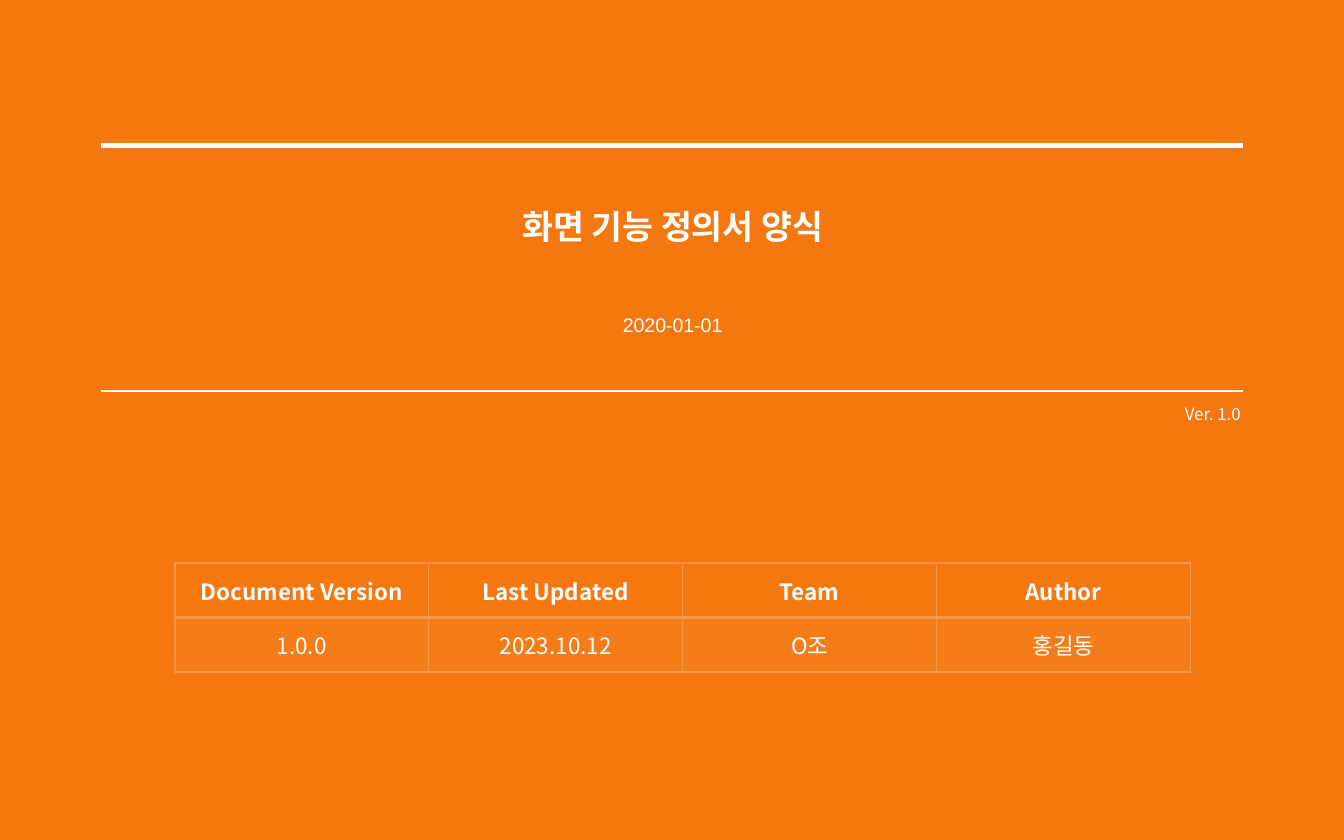
from dataclasses import dataclass

from lxml import etree
from pptx import Presentation
from pptx.dml.color import RGBColor
from pptx.enum import text
from pptx.oxml import ns
from pptx.util import Inches, Pt


@dataclass(frozen=True)
class Theme:
    background: str = "F47710"
    ink: str = "FFFFFF"
    accent: str = "F79646"
    tint: int = 20
    korean: str = "Noto Sans CJK KR"
    plain: str = "Arial"
    title: float = 18
    date: float = 10.5
    version: float = 9
    cell: float = 12


@dataclass(frozen=True)
class Style:
    size: float
    font: str
    bold: bool = False
    align: text.PP_ALIGN = text.PP_ALIGN.CENTER
    spacing: float = 1.0


@dataclass(frozen=True)
class Label:
    words: str
    left: float
    top: float
    width: float
    height: float
    style: Style


THEME = Theme()
NO_TABLE_STYLE = "{2D5ABB26-0587-4C30-8999-92F81FD0307C}"

LABELS = (
    Label("화면 기능 정의서 양식", 0.2, 1.42, 9.61, 0.53,
          Style(THEME.title, THEME.korean, bold=True)),
    Label("2020-01-01", 0.2, 2.16, 9.61, 0.53,
          Style(THEME.date, THEME.plain, spacing=0.9)),
    Label("Ver. 1.0", 0.67, 2.89, 8.66, 0.39,
          Style(THEME.version, THEME.korean, align=text.PP_ALIGN.RIGHT, spacing=0.9)),
)
HISTORY = (
    ("Document Version", "Last Updated", "Team", "Author"),
    ("1.0.0", "2023.10.12", "O조", "홍길동"),
)


def child(parent, tag: str, **attributes: str):
    return etree.SubElement(parent, ns.qn(tag), attributes)


def write(frame, words: str, style: Style) -> None:
    para = frame.paragraphs[0]
    para.alignment = style.align
    para.line_spacing = style.spacing
    span = para.add_run()
    span.text = words
    span.font.color.rgb = RGBColor.from_string(THEME.ink)
    formats = {"size": Pt(style.size), "bold": style.bold, "name": style.font}
    for name, value in formats.items():
        setattr(span.font, name, value)
    child(span._r.get_or_add_rPr(), "a:ea", typeface=style.font)


def add_label(page, label: Label) -> None:
    box = page.shapes.add_textbox(Inches(label.left), Inches(label.top),
                                  Inches(label.width), Inches(label.height))
    box.text_frame.word_wrap = True
    box.text_frame.vertical_anchor = text.MSO_ANCHOR.MIDDLE
    write(box.text_frame, label.words, label.style)


def add_grid(page, rows: int, columns: int, left: float, top: float,
             width: float, height: float):
    frame = page.shapes.add_table(rows, columns, Inches(left), Inches(top),
                                  Inches(width), Inches(height))
    grid = frame.table
    grid.first_row = grid.horz_banding = False
    grid._tbl.tblPr.find(ns.qn("a:tableStyleId")).text = NO_TABLE_STYLE
    return grid


def set_borders(cell, color: str, **widths: float) -> None:
    """Draw the named sides (L, R, T, B), with widths in points."""
    properties = cell._tc.get_or_add_tcPr()
    for side in "LRTB":
        if side in widths:
            line = child(properties, f"a:ln{side}", w=str(Pt(widths[side])))
            child(child(line, "a:solidFill"), "a:srgbClr", val=color)


def set_tint(cell, color: str, percent: int) -> None:
    fill = child(cell._tc.get_or_add_tcPr(), "a:solidFill")
    child(child(fill, "a:srgbClr", val=color), "a:alpha", val=str(percent * 1000))


def add_title_frame(page) -> None:
    cell = add_grid(page, 1, 1, 0.75, 1.08, 8.5, 1.83).cell(0, 0)
    set_borders(cell, THEME.ink, T=3, B=1)
    cell.fill.background()


def add_history(page) -> None:
    grid = add_grid(page, len(HISTORY), len(HISTORY[0]), 1.3, 4.19, 7.56, 0.81)
    for row, entries in enumerate(HISTORY):
        header = row == 0
        for column, words in enumerate(entries):
            cell = grid.cell(row, column)
            cell.vertical_anchor = text.MSO_ANCHOR.MIDDLE
            write(cell.text_frame, words, Style(THEME.cell, THEME.korean, bold=header))
            set_borders(cell, THEME.accent, L=1, R=1,
                        T=1 if header else 2, B=2 if header else 1)
            if header:
                cell.fill.background()
            else:
                set_tint(cell, THEME.accent, THEME.tint)


def main() -> None:
    deck = Presentation()
    deck.slide_width, deck.slide_height = Inches(10), Inches(6.25)
    page = deck.slides.add_slide(deck.slide_layouts[6])
    page.background.fill.solid()
    page.background.fill.fore_color.rgb = RGBColor.from_string(THEME.background)

    # Title block between two rules
    add_title_frame(page)
    for label in LABELS:
        add_label(page, label)

    # Document history
    add_history(page)
    deck.save("out.pptx")


if __name__ == "__main__":
    main()
